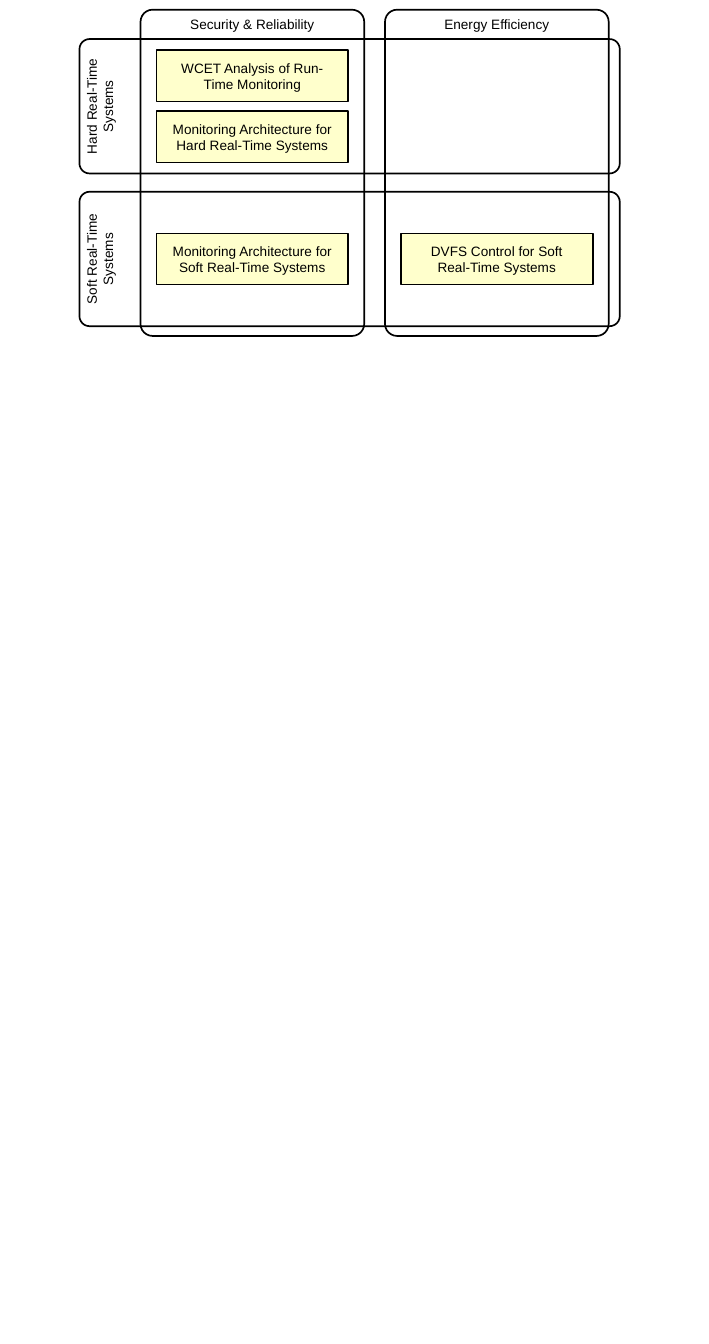
from dataclasses import dataclass
from pptx import Presentation
from pptx.dml.color import RGBColor
from pptx.enum.shapes import MSO_SHAPE
from pptx.enum.text import MSO_ANCHOR, PP_ALIGN
from pptx.util import Inches, Pt


@dataclass(frozen=True)
class Theme:
    """Colours, font and sizes of the slide."""
    ink: RGBColor = RGBColor(0, 0, 0)
    card: RGBColor = RGBColor(0xFF, 0xFF, 0xCC)
    font: str = "Arial"
    size: Pt = Pt(8)
    line: Pt = Pt(1)


THEME = Theme()
CARD = (1.57, 0.42)


def write(shape, text, pad=0):
    """Set centred text in a shape."""
    frame = shape.text_frame
    frame.word_wrap = True
    frame.vertical_anchor = MSO_ANCHOR.MIDDLE
    frame.margin_left = frame.margin_right = Inches(pad)
    frame.margin_top = frame.margin_bottom = 0
    frame.text = text
    para = frame.paragraphs[0]
    para.alignment = PP_ALIGN.CENTER
    para.font.name = THEME.font
    para.font.size = THEME.size
    para.font.color.rgb = THEME.ink


def outline(slide, kind, box):
    """Draw an unfilled shape with a dark line."""
    shape = slide.shapes.add_shape(kind, *map(Inches, box))
    shape.shadow.inherit = False
    shape.fill.background()
    shape.line.color.rgb = THEME.ink
    shape.line.width = THEME.line
    return shape


def frame(slide, box, curve):
    """Draw a rounded frame around a column or row."""
    outline(slide, MSO_SHAPE.ROUNDED_RECTANGLE, box).adjustments[0] = curve


def label(slide, box, text, turn=0):
    """Place a text label, turned if asked."""
    shape = slide.shapes.add_textbox(*map(Inches, box))
    shape.rotation = turn
    write(shape, text)


def column(slide, box, title):
    """Draw a goal column with its title on top."""
    left, top, width, _ = box
    frame(slide, box, 0.054)
    label(slide, (left, top, width, 0.24), title)


def row(slide, box, title):
    """Draw a system row with its title turned at the left."""
    left, top, _, height = box
    frame(slide, box, 0.075)
    deep = 0.33
    place = (left + (deep - height) / 2, top + (height - deep) / 2, height, deep)
    label(slide, place, title, 270)


def cell(slide, box, titles):
    """Stack topic cards in the middle of a cell."""
    left, top, width, height = box
    wide, high = CARD
    step = 0.5
    start = top + (height - high - step * (len(titles) - 1)) / 2
    for index, title in enumerate(titles):
        place = (left + (width - wide) / 2, start + index * step, wide, high)
        card = outline(slide, MSO_SHAPE.RECTANGLE, place)
        card.fill.solid()
        card.fill.fore_color.rgb = THEME.card
        write(card, title, 0.1)


def matrix(slide, left, top):
    """Draw the grid of goals and systems with its topics."""
    goals = ["Security & Reliability", "Energy Efficiency"]
    systems = ["Hard Real-Time Systems", "Soft Real-Time Systems"]
    topics = {
        (0, 0): ["WCET Analysis of Run-Time Monitoring",
                 "Monitoring Architecture for Hard Real-Time Systems"],
        (1, 0): ["Monitoring Architecture for Soft Real-Time Systems"],
        (1, 1): ["DVFS Control for Soft Real-Time Systems"],
    }
    wide, high = 1.83, 1.1
    cols = [left + 0.5 + 2 * index for index in range(len(goals))]
    rows = [top + 0.24 + 1.25 * index for index in range(len(systems))]
    for spot, goal in zip(cols, goals):
        column(slide, (spot, top, wide, 2.67), goal)
    for spot, system in zip(rows, systems):
        row(slide, (left, spot, 4.42, high), system)
    for (line, col), titles in topics.items():
        cell(slide, (cols[col], rows[line], wide, high), titles)


def main():
    """Build and save the slide."""
    deck = Presentation()
    deck.slide_width, deck.slide_height = Inches(5.8), Inches(11)
    slide = deck.slides.add_slide(deck.slide_layouts[6])
    matrix(slide, 0.65, 0.08)
    deck.save("out.pptx")


main()
